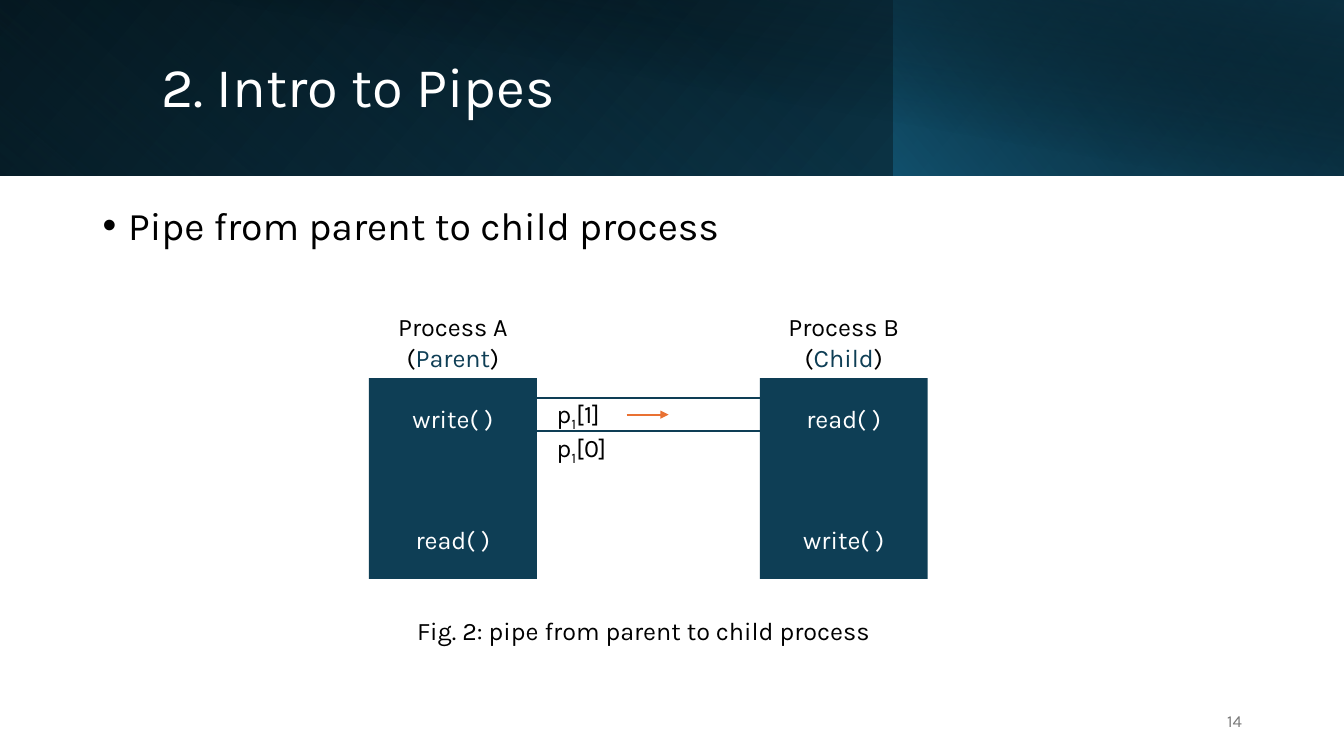
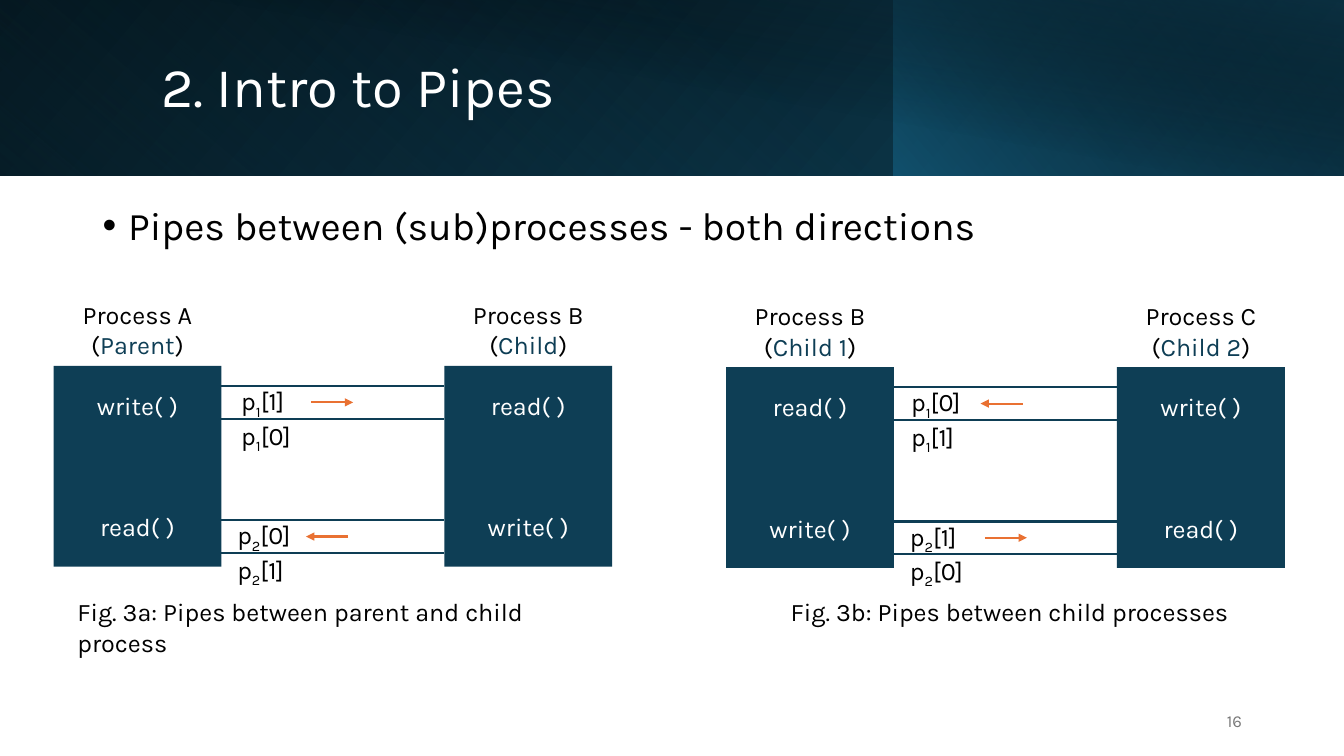
import dataclasses

import lxml.etree
import pptx
import pptx.dml.color
import pptx.enum.shapes
import pptx.enum.text
import pptx.oxml.ns
import pptx.util

Cm = pptx.util.Cm
Pt = pptx.util.Pt
RGBColor = pptx.dml.color.RGBColor
ALIGN = pptx.enum.text.PP_ALIGN
ANCHOR = pptx.enum.text.MSO_ANCHOR
RECTANGLE = pptx.enum.shapes.MSO_SHAPE.RECTANGLE
STRAIGHT = pptx.enum.shapes.MSO_CONNECTOR.STRAIGHT
qn = pptx.oxml.ns.qn

FONT = "Karla"
BLACK = RGBColor(0x00, 0x00, 0x00)
WHITE = RGBColor(0xFF, 0xFF, 0xFF)
GREY = RGBColor(0x79, 0x79, 0x79)
NAVY = RGBColor(0x0E, 0x3E, 0x55)
OCEAN = RGBColor(0x10, 0x48, 0x62)
TEAL = RGBColor(0x15, 0x60, 0x82)
DEEP = RGBColor(0x0B, 0x30, 0x41)
ORANGE = RGBColor(0xE9, 0x71, 0x32)

SLIDE_WIDTH, SLIDE_HEIGHT = 33.87, 19.05
BAND_HEIGHT = 4.42
BAND_SPLIT = 22.53
PROCESS_WIDTH, PROCESS_HEIGHT = 4.23, 5.06
PROCESS_STEP = 9.85
PIPE_HEIGHT = 0.82
PIPE_TOPS = (0.51, 3.89)
ARROW_LENGTH = 1.06


@dataclasses.dataclass
class Pipe:
    """A pipe with its two descriptors, arrow direction and offsets."""

    number: str
    ends: tuple
    rightward: bool
    label_left: float
    arrow_left: float


@dataclasses.dataclass
class Diagram:
    """Two processes joined by pipes, with a caption below."""

    left: float
    top: float
    processes: tuple
    pipes: tuple
    caption: str
    caption_left: float
    caption_top: float
    caption_width: float
    caption_align: int = ALIGN.LEFT


def write_text(frame, paragraphs, size=18, color=BLACK, align=ALIGN.LEFT,
               anchor=ANCHOR.TOP, wrap=True, line_spacing=None, gap=0, bullet=False):
    """Fill a text frame; a paragraph is a string or a list of (text, format) runs."""
    frame.word_wrap = wrap
    frame.vertical_anchor = anchor
    for index, content in enumerate(paragraphs):
        paragraph = frame.paragraphs[0] if index == 0 else frame.add_paragraph()
        paragraph.alignment = align
        if line_spacing:
            paragraph.line_spacing = line_spacing
        if index:
            paragraph.space_before = Pt(gap)
        if bullet:
            properties = paragraph._p.get_or_add_pPr()
            properties.set("marL", str(Cm(0.64)))
            properties.set("indent", str(-Cm(0.64)))
            font = lxml.etree.SubElement(properties, qn("a:buFont"))
            font.set("typeface", "Arial")
            lxml.etree.SubElement(properties, qn("a:buChar")).set("char", "•")
        runs = [(content, {})] if isinstance(content, str) else content
        for text, style in runs:
            run = paragraph.add_run()
            run.text = text
            run.font.name = FONT
            run.font.size = Pt(size)
            run.font.color.rgb = style.get("color", color)
            if "baseline" in style:
                run._r.get_or_add_rPr().set("baseline", str(style["baseline"]))


def add_text(slide, left, top, width, height, paragraphs, **style):
    """Add a text box with the given format."""
    box = slide.shapes.add_textbox(Cm(left), Cm(top), Cm(width), Cm(height))
    write_text(box.text_frame, paragraphs, **style)


def add_rectangle(slide, left, top, width, height):
    """Add a rectangle without line or shadow."""
    shape = slide.shapes.add_shape(RECTANGLE, Cm(left), Cm(top), Cm(width), Cm(height))
    shape.shadow.inherit = False
    shape.line.fill.background()
    return shape


def add_gradient(slide, left, width, height, angle, stops):
    """Add a band with a clockwise gradient of (position, color, opacity) stops."""
    shape = add_rectangle(slide, left, 0, width, height)
    shape.fill.gradient()
    shape.fill.gradient_angle = 360 - angle
    for stop, (position, color, opacity) in zip(shape.fill.gradient_stops, stops):
        stop.position = position
        stop.color.rgb = color
    colors = shape._element.spPr.iter(qn("a:srgbClr"))
    for element, (position, color, opacity) in zip(colors, stops):
        alpha = lxml.etree.SubElement(element, qn("a:alpha"))
        alpha.set("val", str(opacity * 1000))


def add_line(slide, start, end, top, color, arrow=False):
    """Add a horizontal line, with an arrowhead at its end if wanted."""
    line = slide.shapes.add_connector(STRAIGHT, Cm(start), Cm(top), Cm(end), Cm(top))
    line.line.color.rgb = color
    line.line.width = Pt(1.5)
    properties = line._element.spPr
    if arrow:
        outline = properties.find(qn("a:ln"))
        lxml.etree.SubElement(outline, qn("a:tailEnd")).set("type", "triangle")
    lxml.etree.SubElement(properties, qn("a:effectLst"))


def draw_header(slide, title):
    """Draw the layered gradient band and the title."""
    add_gradient(slide, 0, SLIDE_WIDTH, BAND_HEIGHT, 40,
                 [(0, BLACK, 100), (1, OCEAN, 100)])
    add_gradient(slide, 0, BAND_SPLIT, BAND_HEIGHT, 130,
                 [(0.2, TEAL, 0), (1, DEEP, 55)])
    add_gradient(slide, BAND_SPLIT, SLIDE_WIDTH - BAND_SPLIT, BAND_HEIGHT, 320,
                 [(0, TEAL, 66), (1, BLACK, 30)])
    add_gradient(slide, 1.27, SLIDE_WIDTH - 1.27, BAND_HEIGHT, 280,
                 [(0.5, BLACK, 0), (0.99, DEEP, 52)])
    add_text(slide, 3.81, 0.81, 27.48, 2.87, [title], size=40, color=WHITE,
             anchor=ANCHOR.MIDDLE, line_spacing=0.9)


def draw_process(slide, left, top, name, role, calls):
    """Draw a process box with its heading and its two calls."""
    heading = [name, [("(", {}), (role, {"color": NAVY}), (")", {})]]
    add_text(slide, left, top - 1.8, PROCESS_WIDTH, 1.8, heading, align=ALIGN.CENTER)
    box = add_rectangle(slide, left, top, PROCESS_WIDTH, PROCESS_HEIGHT)
    box.fill.solid()
    box.fill.fore_color.rgb = NAVY
    write_text(box.text_frame, calls, color=WHITE, align=ALIGN.CENTER,
               anchor=ANCHOR.MIDDLE, gap=65)


def draw_pipe(slide, left, top, width, pipe):
    """Draw the two walls of a pipe, its descriptors and its arrow."""
    for wall_top in (top, top + PIPE_HEIGHT):
        add_line(slide, left, left + width, wall_top, NAVY)
    labels = [[("p", {}), (pipe.number, {"baseline": -25000}), (end, {})]
              for end in pipe.ends]
    add_text(slide, left + pipe.label_left, top - 0.14, 2, 1.75, labels, wrap=False)
    start = left + pipe.arrow_left
    end = start + ARROW_LENGTH
    if not pipe.rightward:
        start, end = end, start
    add_line(slide, start, end, top + PIPE_HEIGHT / 2, ORANGE, arrow=True)


def draw_diagram(slide, diagram):
    """Draw the processes, the pipes between them and the caption."""
    left, top = diagram.left, diagram.top
    for index, process in enumerate(diagram.processes):
        draw_process(slide, left + index * PROCESS_STEP, top, *process)
    for pipe_top, pipe in zip(PIPE_TOPS, diagram.pipes):
        draw_pipe(slide, left + PROCESS_WIDTH, top + pipe_top,
                  PROCESS_STEP - PROCESS_WIDTH, pipe)
    add_text(slide, diagram.caption_left, diagram.caption_top, diagram.caption_width,
             1.03, [diagram.caption], align=diagram.caption_align)


def build_slide(presentation, number, statement, diagrams):
    """Add a slide with header, page number, statement and diagrams."""
    slide = presentation.slides.add_slide(presentation.slide_layouts[6])
    draw_header(slide, "2. Intro to Pipes")
    add_text(slide, 23.93, 17.65, 7.62, 1.02, [number], size=12, color=GREY,
             align=ALIGN.RIGHT, anchor=ANCHOR.MIDDLE)
    add_text(slide, 2.34, 5.08, 29.21, 1.5, [statement], size=28,
             line_spacing=0.9, bullet=True)
    for diagram in diagrams:
        draw_diagram(slide, diagram)


def main():
    """Build and save the presentation."""
    presentation = pptx.Presentation()
    presentation.slide_width = Cm(SLIDE_WIDTH)
    presentation.slide_height = Cm(SLIDE_HEIGHT)

    write_first = ("write( )", "read( )")
    read_first = ("read( )", "write( )")
    family = (("Process A", "Parent", write_first), ("Process B", "Child", read_first))
    siblings = (("Process B", "Child 1", read_first),
                ("Process C", "Child 2", write_first))
    to_child = Pipe("1", ("[1]", "[0]"), True, 0.25, 2.26)
    to_parent = Pipe("2", ("[0]", "[1]"), False, 0.15, 2.13)
    to_first = Pipe("1", ("[0]", "[1]"), False, 0.18, 2.18)
    to_second = Pipe("2", ("[1]", "[0]"), True, 0.15, 2.29)

    build_slide(presentation, "14", "Pipe from parent to child process", [
        Diagram(9.3, 9.53, family, (to_child,),
                "Fig. 2: pipe from parent to child process", 10.26, 15.37, 13.34),
    ])
    build_slide(presentation, "16", "Pipes between (sub)processes - both directions", [
        Diagram(1.35, 9.22, family, (to_child, to_parent),
                "Fig. 3a: Pipes between parent and child process", 1.7, 14.91, 13.72),
        Diagram(18.3, 9.25, siblings, (to_first, to_second),
                "Fig. 3b: Pipes between child processes", 18.31, 14.91, 14.27,
                ALIGN.CENTER),
    ])
    presentation.save("out.pptx")


if __name__ == "__main__":
    main()
